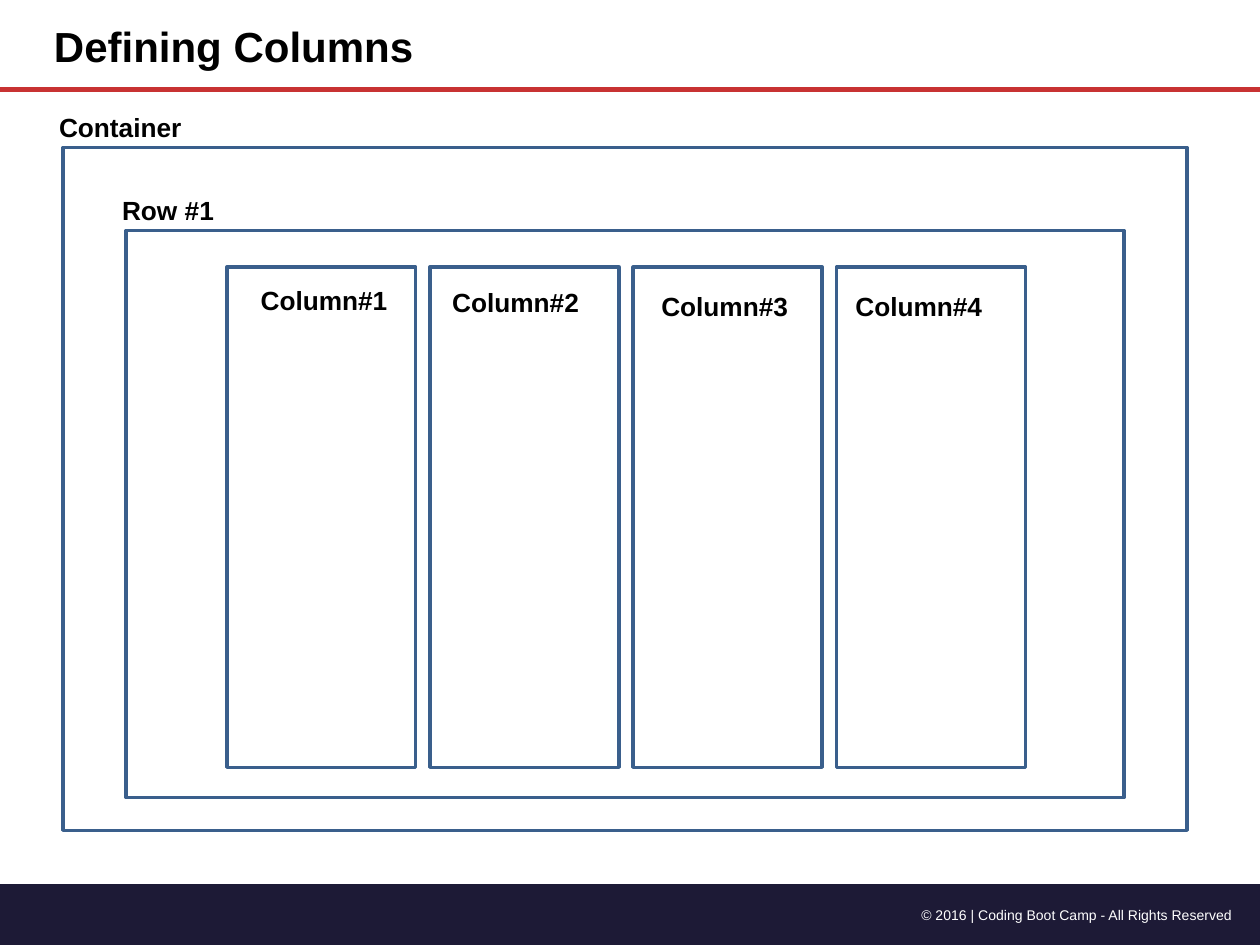
from lxml.etree import SubElement
from pptx import Presentation
from pptx.dml.color import RGBColor
from pptx.enum.shapes import MSO_CONNECTOR as Connector, MSO_SHAPE as Shape
from pptx.enum.text import MSO_ANCHOR as Anchor, PP_ALIGN as Align
from pptx.oxml.ns import qn
from pptx.util import Inches, Pt

COLORS = {"navy": "1D1A36", "red": "C83232", "blue": "3A5F8C",
          "black": "000000", "white": "FFFFFF"}
WIDTH, HEIGHT = 10, 7.5
TITLE = ("Defining Columns", (0.33, 0.11, 5.58, 0.5))
FOOTER = ("© 2016 | Coding Boot Camp - All Rights Reserved", (6.83, 7.15, 3.05, 0.23))
FOOTER_BAR = (0, 7.02, 10.01, 0.5)
RULE_TOP = 0.71
FRAMES = [
    ("Container", (0.5, 1.17, 8.92, 5.42)),
    ("Row #1", (1, 1.83, 7.92, 4.5)),
]
FRAME_LABEL_WIDTH, LABEL_HEIGHT = 5.58, 0.35
COLUMNS = [
    ("Column#1", 1.97, 2.21),
    ("Column#2", 3.49, 2.22),
    ("Column#3", 5.15, 2.25),
    ("Column#4", 6.69, 2.25),
]
COLUMN_LEFT, COLUMN_TOP, COLUMN_PITCH = 1.8, 2.12, 1.613
COLUMN_WIDTH, COLUMN_HEIGHT, COLUMN_LABEL_WIDTH = 1.5, 3.97, 1.24


def color(name):
    return RGBColor.from_string(COLORS[name])


def add_text(slide, text, box, size=15, ink="black", bold=True, align=Align.LEFT):
    frame = slide.shapes.add_textbox(*map(Inches, box)).text_frame
    frame.word_wrap = True
    frame.vertical_anchor = Anchor.MIDDLE
    paragraph = frame.paragraphs[0]
    paragraph.text = text
    paragraph.alignment = align
    font = paragraph.font
    font.name, font.size, font.bold = "Arial", Pt(size), bold
    font.color.rgb = color(ink)


def add_outline(slide, box):
    shape = slide.shapes.add_shape(Shape.RECTANGLE, *map(Inches, box))
    shape.shadow.inherit = False
    shape.fill.background()
    shape.line.color.rgb = color("blue")
    shape.line.width = Pt(2)


def add_master_parts(slide):
    bar = slide.shapes.add_shape(Shape.FLOWCHART_PROCESS, *map(Inches, FOOTER_BAR))
    bar.shadow.inherit = False
    bar.fill.solid()
    bar.fill.fore_color.rgb = color("navy")
    bar.line.fill.background()
    add_text(slide, *FOOTER, size=8, ink="white", bold=False, align=Align.RIGHT)
    rule = slide.shapes.add_connector(
        Connector.STRAIGHT, 0, Inches(RULE_TOP), Inches(WIDTH), Inches(RULE_TOP))
    rule.line.color.rgb = color("red")
    rule.line.width = Pt(3.25)
    SubElement(rule._element.spPr, qn("a:effectLst"))


def main():
    presentation = Presentation()
    presentation.slide_width, presentation.slide_height = Inches(WIDTH), Inches(HEIGHT)
    slide = presentation.slides.add_slide(presentation.slide_layouts[6])
    add_master_parts(slide)
    add_text(slide, *TITLE, size=24)
    for label, box in FRAMES:
        left, top = box[:2]
        add_outline(slide, box)
        add_text(slide, label,
                 (left - 0.13, top - 0.34, FRAME_LABEL_WIDTH, LABEL_HEIGHT))
    for index, (label, left, top) in enumerate(COLUMNS):
        add_outline(slide, (COLUMN_LEFT + index * COLUMN_PITCH, COLUMN_TOP,
                            COLUMN_WIDTH, COLUMN_HEIGHT))
        add_text(slide, label, (left, top, COLUMN_LABEL_WIDTH, LABEL_HEIGHT))
    presentation.save("out.pptx")


if __name__ == "__main__":
    main()
